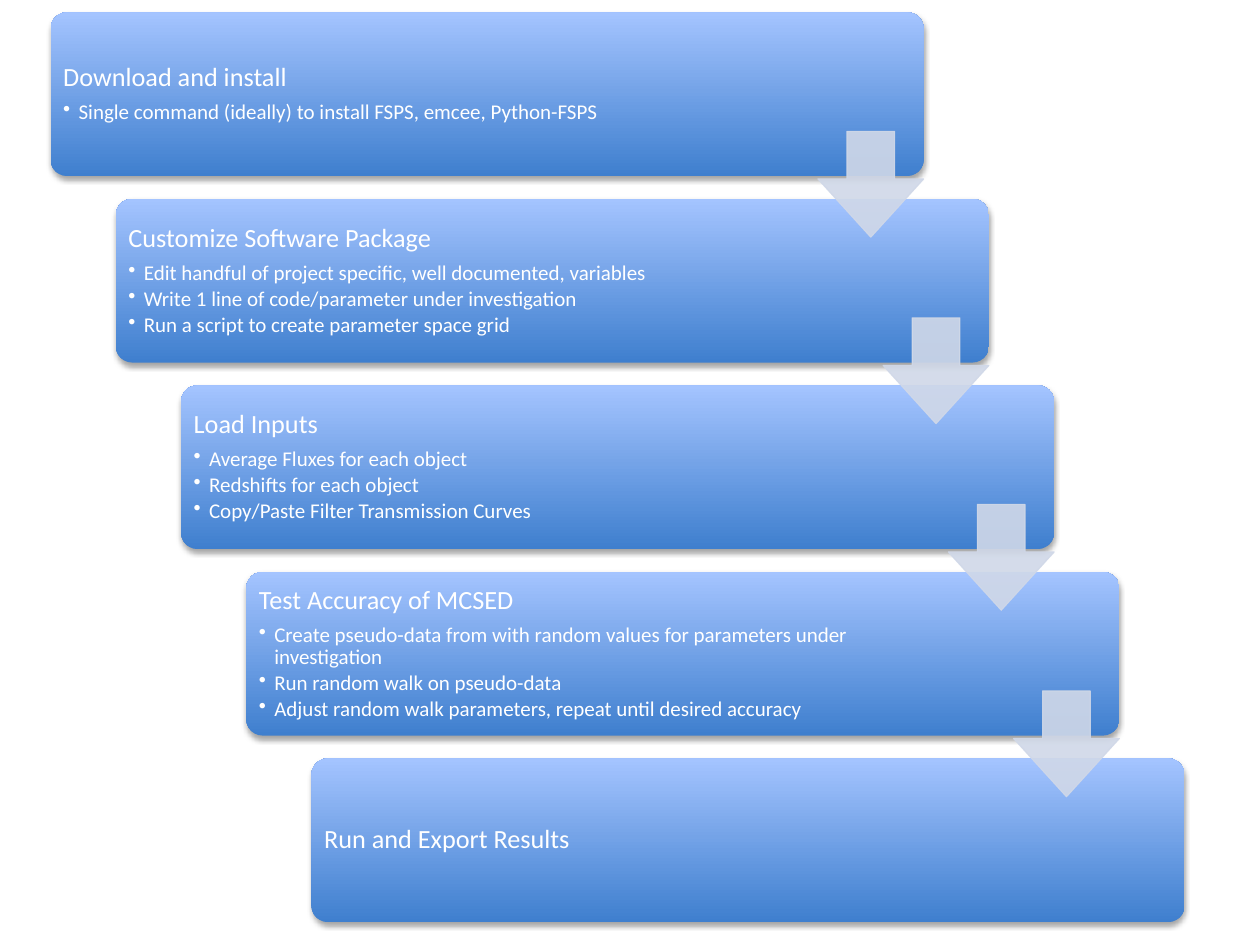
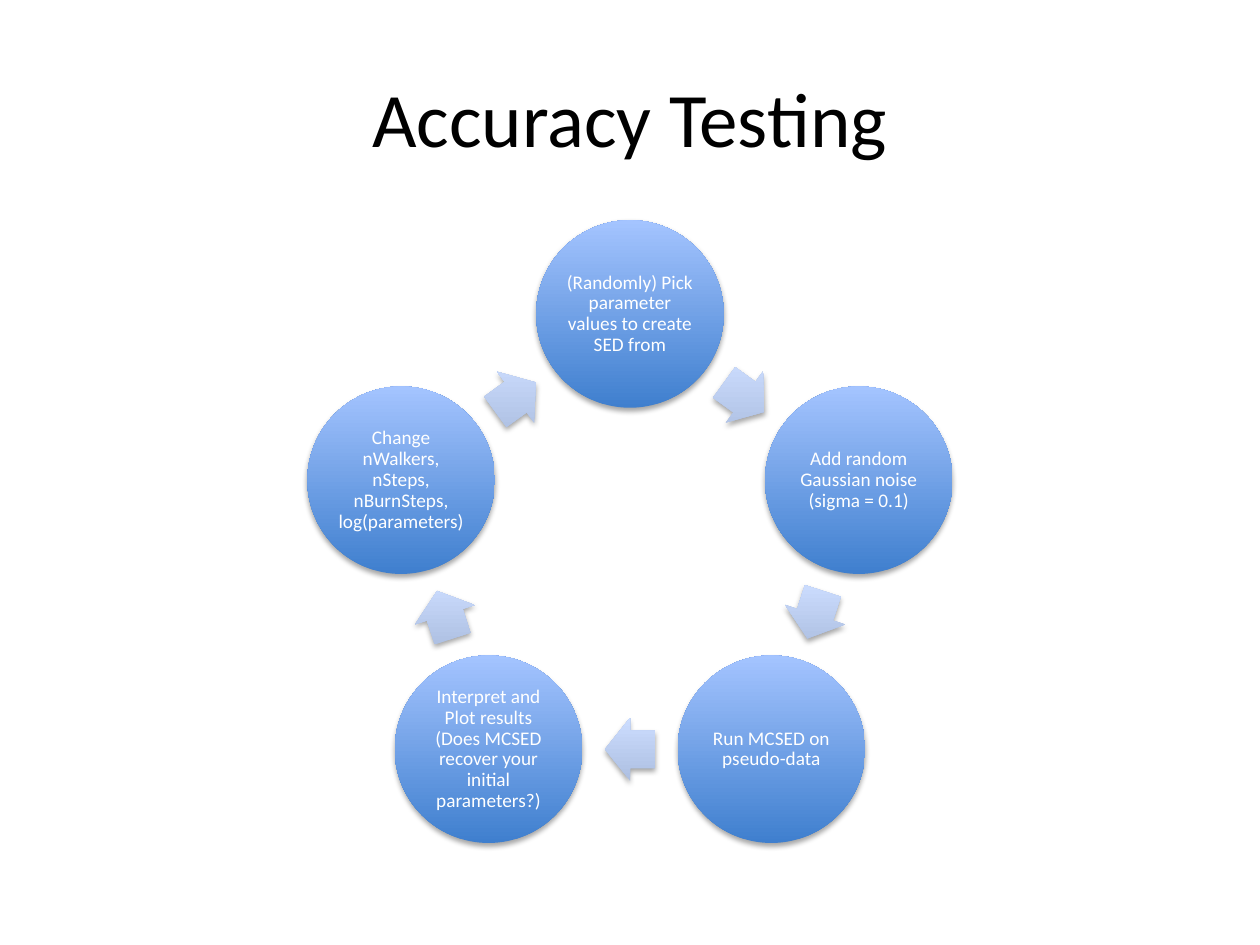
"""Build a two-slide deck: a staircase of workflow steps and a testing cycle."""
from math import cos, radians, sin

from lxml import etree
from pptx import Presentation
from pptx.dml.color import RGBColor
from pptx.enum.shapes import MSO_SHAPE
from pptx.enum.text import MSO_ANCHOR, PP_ALIGN
from pptx.oxml.ns import qn
from pptx.util import Cm, Pt

CARD, CIRCLE = MSO_SHAPE.ROUNDED_RECTANGLE, MSO_SHAPE.OVAL
DOWN_ARROW, RIGHT_ARROW = MSO_SHAPE.DOWN_ARROW, MSO_SHAPE.RIGHT_ARROW
LEFT, CENTER, MIDDLE = PP_ALIGN.LEFT, PP_ALIGN.CENTER, MSO_ANCHOR.MIDDLE
TITLE_ONLY, BLANK = 5, 6

FONT = "Calibri"
COLORS = {
    "deep": "3F7FCE", "light": "A4C4FF", "pale_deep": "ADBFE1", "pale_light": "CCDDFF",
    "link": "D0D8E8", "text": "FFFFFF", "title": "000000", "shadow": "000000",
}
HEADING = {"size": 15, "alignment": LEFT, "line_spacing": 0.9, "space_after": Pt(5.25)}
BULLET = {"size": 12, "alignment": LEFT, "line_spacing": 0.9, "space_after": Pt(1.8)}
LABEL = {"size": 11, "alignment": CENTER, "line_spacing": 0.9, "space_after": Pt(0)}
TITLE = {"size": 44, "alignment": CENTER}

WORKFLOW = [
    ("Download and install", ["Single command (ideally) to install FSPS, emcee, Python-FSPS"]),
    ("Customize Software Package", [
        "Edit handful of project specific, well documented, variables",
        "Write 1 line of code/parameter under investigation",
        "Run a script to create parameter space grid"]),
    ("Load Inputs", [
        "Average Fluxes for each object",
        "Redshifts for each object",
        "Copy/Paste Filter Transmission Curves"]),
    ("Test Accuracy of MCSED", [
        "Create pseudo-data from with random values for parameters under investigation",
        "Run random walk on pseudo-data",
        "Adjust random walk parameters, repeat until desired accuracy"]),
    ("Run and Export Results", []),
]
CYCLE = [
    "(Randomly) Pick parameter values to create SED from",
    "Add random Gaussian noise (sigma = 0.1)",
    "Run MCSED on pseudo-data",
    "Interpret and Plot results (Does MCSED recover your initial parameters?)",
    "Change nWalkers, nSteps, nBurnSteps, log(parameters)",
]


def color(name):
    """Return the named palette colour."""
    return RGBColor.from_string(COLORS[name])


def set_attributes(target, values):
    """Set every given value on the target."""
    for name, value in values.items():
        setattr(target, name, value)


def add_element(parent, tag, **attributes):
    """Append a DrawingML element with the given attributes."""
    child = etree.SubElement(parent, qn(tag))
    for name, value in attributes.items():
        child.set(name, str(value))
    return child


def add_alpha(parent, percent):
    """Give every RGB colour under the parent an opacity."""
    for rgb in parent.iter(qn("a:srgbClr")):
        add_element(rgb, "a:alpha", val=percent * 1000)


def add_plain_shape(page, kind, box, adjustments=()):
    """Add a preset shape without its theme shadow."""
    shape = page.shapes.add_shape(kind, *(Cm(length) for length in box))
    for index, value in enumerate(adjustments):
        shape.adjustments[index] = value
    shape.shadow.inherit = False
    return shape


def add_glossy_shape(page, kind, box, shades, adjustments=()):
    """Add a borderless shape with an upright gradient and a soft shadow."""
    shape = add_plain_shape(page, kind, box, adjustments)
    shape.line.fill.background()
    shape.fill.gradient()
    shape.fill.gradient_angle = 90
    for stop, shade in zip(shape.fill.gradient_stops, shades):
        stop.color.rgb = color(shade)
    properties = shape._element.spPr
    properties.find(qn("a:gradFill")).set("rotWithShape", "0")
    shadow = add_element(
        properties.find(qn("a:effectLst")), "a:outerShdw", blurRad=Pt(3.1), dist=Pt(1.8),
        dir=90 * 60000, rotWithShape=0)
    add_element(shadow, "a:srgbClr", val=COLORS["shadow"])
    add_alpha(shadow, 35)
    return shape


def prepare_frame(shape, inset, right_inset):
    """Return the shape's text frame, wrapped and vertically centred."""
    frame = shape.text_frame
    set_attributes(frame, {
        "word_wrap": True, "vertical_anchor": MIDDLE, "margin_left": Cm(inset),
        "margin_top": Cm(inset), "margin_bottom": Cm(inset), "margin_right": Cm(right_inset)})
    return frame


def write(para, text, style, shade="text"):
    """Write one styled run into a paragraph."""
    span = para.add_run()
    span.text = text
    set_attributes(span.font, {"name": FONT, "size": Pt(style["size"])})
    span.font.color.rgb = color(shade)
    set_attributes(para, {name: value for name, value in style.items() if name != "size"})


def add_bullet(frame, text):
    """Add a bulleted paragraph with a hanging indent."""
    para = frame.add_paragraph()
    para.level = 1
    write(para, text, BULLET)
    properties = para._p.get_or_add_pPr()
    properties.set("marL", str(Cm(0.31)))
    properties.set("indent", str(Cm(-0.31)))
    add_element(properties, "a:buChar", char="•")


def add_step_card(page, box, heading, bullets):
    """Add one workflow card with its heading and bullets."""
    card = add_glossy_shape(page, CARD, box, ("deep", "light"), [0.1])
    frame = prepare_frame(card, 0.16, 3.6)
    write(frame.paragraphs[0], heading, HEADING)
    for bullet in bullets:
        add_bullet(frame, bullet)


def add_step_arrow(page, card_box):
    """Add the translucent arrow leading down from a card's right end."""
    left, top, width, _ = card_box
    size = 2.13
    arrow = add_plain_shape(
        page, DOWN_ARROW, (left + width - size, top + 2.4, size, size), [0.45, 0.55])
    arrow.fill.solid()
    arrow.fill.fore_color.rgb = color("link")
    arrow.line.color.rgb = color("link")
    arrow.line.width = Pt(0.75)
    add_alpha(arrow._element.spPr, 90)


def build_workflow_page(deck, box):
    """Build the staircase of cards inside the box."""
    page = deck.slides.add_slide(deck.slide_layouts[BLANK])
    left, top, width, height = box
    card_width, card_height = 17.6, 3.3
    gaps = len(WORKFLOW) - 1
    step_x, step_y = (width - card_width) / gaps, (height - card_height) / gaps
    card_boxes = [(left + i * step_x, top + i * step_y, card_width, card_height)
                  for i in range(len(WORKFLOW))]
    for card_box, (heading, bullets) in zip(card_boxes, WORKFLOW):
        add_step_card(page, card_box, heading, bullets)
    for card_box in card_boxes[:-1]:
        add_step_arrow(page, card_box)


def ring_box(center, radius, angle, width, height):
    """Return a box centred on a ring, at an angle clockwise from the top."""
    x = center[0] + radius * sin(radians(angle))
    y = center[1] - radius * cos(radians(angle))
    return x - width / 2, y - height / 2, width, height


def add_cycle(page, center, radius):
    """Add the ring of stages with an arrow after each."""
    turn = 360 / len(CYCLE)
    for index, label in enumerate(CYCLE):
        angle = index * turn
        stage = add_glossy_shape(
            page, CIRCLE, ring_box(center, radius, angle, 3.78, 3.78), ("deep", "light"))
        write(prepare_frame(stage, 0.05, 0.05).paragraphs[0], label, LABEL)
        angle += turn / 2
        arrow = add_glossy_shape(
            page, RIGHT_ARROW, ring_box(center, radius * cos(radians(turn / 2)), angle, 1.01, 1.27),
            ("pale_deep", "pale_light"), [0.6, 0.5])
        arrow.rotation = angle


def build_cycle_page(deck, title_box):
    """Build the titled page with the testing cycle."""
    page = deck.slides.add_slide(deck.slide_layouts[TITLE_ONLY])
    title = page.shapes.title
    set_attributes(title, dict(zip(("left", "top", "width", "height"), map(Cm, title_box))))
    title.text_frame.vertical_anchor = MIDDLE
    write(title.text_frame.paragraphs[0], "Accuracy Testing", TITLE, "title")
    add_cycle(page, (12.7, 11.18), 4.85)


def main():
    """Build and save the deck."""
    deck = Presentation()
    set_attributes(deck, {"slide_width": Cm(25.4), "slide_height": Cm(19.05)})
    build_workflow_page(deck, (1.02, 0.25, 22.86, 18.34))
    build_cycle_page(deck, (1.27, 0.76, 22.86, 3.18))
    deck.save("out.pptx")


if __name__ == "__main__":
    main()
